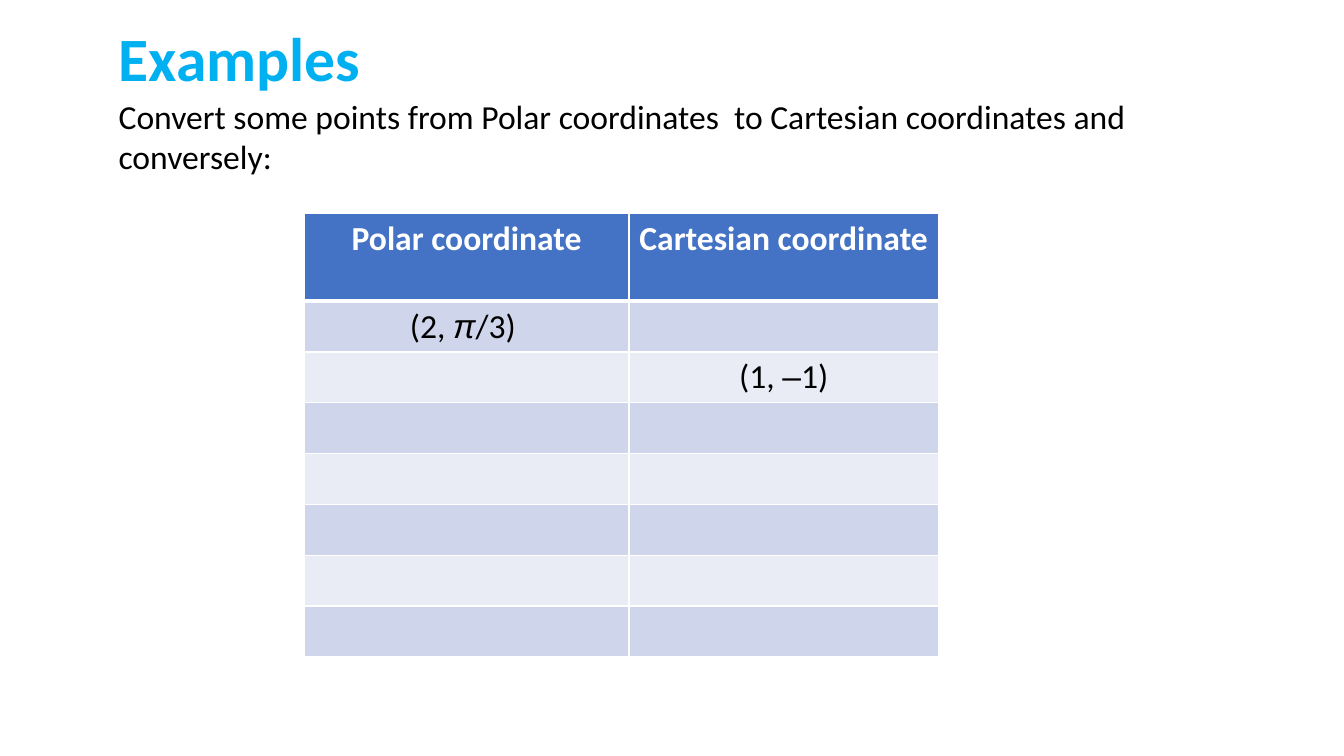
import pptx
import pptx.dml.color
import pptx.enum.text
import pptx.oxml
import pptx.oxml.ns
import pptx.util

Cm = pptx.util.Cm
Pt = pptx.util.Pt
ALIGN = pptx.enum.text.PP_ALIGN
ANCHOR = pptx.enum.text.MSO_ANCHOR


def color(value):
    """Turn a hex string into a colour."""
    return pptx.dml.color.RGBColor.from_string(value)


class Deck:
    """Hold the style and the current slide."""

    font = "Calibri"
    symbol_font = "Arial"
    accent, ink, paper = "00B0F0", "000000", "FFFFFF"
    header_fill = "4472C4"
    bands = ("CFD5EA", "E9EBF5")
    text_size = 24

    def __init__(self, presentation):
        """Add a blank slide to the presentation."""
        self.slide = presentation.slides.add_slide(presentation.slide_layouts[6])

    def run(self, paragraph, text, hue, size=text_size, bold=False, italic=False, font=font):
        """Append one styled run to a paragraph."""
        run = paragraph.add_run()
        run.text = text
        run.font.name = font
        run.font.size = Pt(size)
        run.font.bold = bold
        run.font.italic = italic
        run.font.color.rgb = color(hue)

    def text(self, box, text, hue, anchor=ANCHOR.TOP, spacing=None, **style):
        """Place a wrapped one-paragraph text box, measured in centimetres."""
        frame = self.slide.shapes.add_textbox(*map(Cm, box)).text_frame
        frame.word_wrap = True
        frame.vertical_anchor = anchor
        paragraph = frame.paragraphs[0]
        paragraph.line_spacing = spacing
        self.run(paragraph, text, hue, **style)

    def borders(self, cell, top, bottom):
        """Draw the four white sides of a cell."""
        properties = cell._tc.get_or_add_tcPr()
        sides = (("lnL", 1), ("lnR", 1), ("lnT", top), ("lnB", bottom))
        for position, (side, width) in enumerate(sides):
            line = pptx.oxml.parse_xml(
                f'<a:{side} {pptx.oxml.ns.nsdecls("a")} w="{Pt(width)}"><a:solidFill>'
                f'<a:srgbClr val="{self.paper}"/></a:solidFill></a:{side}>')
            properties.insert(position, line)

    def table(self, left, top, widths, heights, contents):
        """Build a banded table; contents maps (row, column) to styled runs."""
        frame = self.slide.shapes.add_table(
            len(heights), len(widths), Cm(left), Cm(top), Cm(sum(widths)), Cm(sum(heights)))
        grid = frame.table
        grid.horz_banding = False
        for column, width in zip(grid.columns, widths):
            column.width = Cm(width)
        for r, height in enumerate(heights):
            grid.rows[r].height = Cm(height)
            header = r == 0
            for c in range(len(widths)):
                cell = grid.cell(r, c)
                cell.fill.solid()
                cell.fill.fore_color.rgb = color(self.header_fill if header else self.bands[(r - 1) % 2])
                self.borders(cell, 3 if r == 1 else 1, 3 if header else 1)
                paragraph = cell.text_frame.paragraphs[0]
                paragraph.alignment = ALIGN.CENTER
                for text, style in contents.get((r, c), ()):
                    self.run(paragraph, text, self.paper if header else self.ink, bold=header, **style)


def main():
    """Build and save the slide."""
    presentation = pptx.Presentation()
    presentation.slide_width, presentation.slide_height = Cm(33.87), Cm(19.05)
    deck = Deck(presentation)
    deck.text((2.74, 0.41, 29.21, 2.29), "Examples", deck.accent,
              anchor=ANCHOR.MIDDLE, spacing=0.9, size=44, bold=True)
    deck.text((2.74, 2.29, 29.21, 3.33),
              "Convert some points from Polar coordinates  to Cartesian coordinates and conversely:",
              deck.ink)
    coordinates = {
        (0, 0): [("Polar coordinate", {})],
        (0, 1): [("Cartesian coordinate", {})],
        (1, 0): [("(2, ", {}), ("π", {"font": deck.symbol_font, "italic": True}), ("/3) ", {})],
        (2, 1): [("(1, ", {}), ("–", {"font": deck.symbol_font}), ("1)", {})],
    }
    deck.table(7.67, 5.38, (8.18, 7.8), [2.21] + [1.28] * 7, coordinates)
    presentation.save("out.pptx")


if __name__ == "__main__":
    main()
